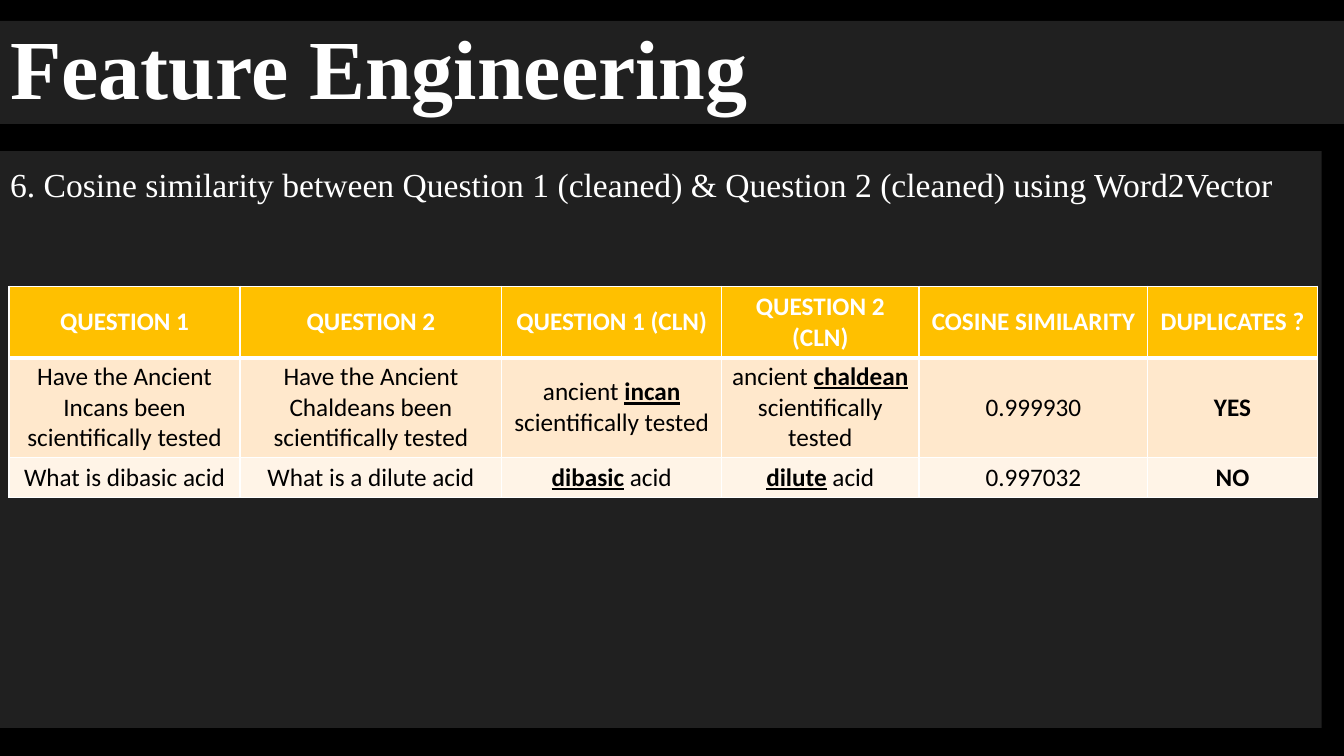
import pptx
import pptx.util
import pptx.dml.color
import pptx.enum.text
import pptx.oxml.ns
from lxml import etree

Pt = pptx.util.Pt
qn = pptx.oxml.ns.qn
Align = pptx.enum.text.PP_ALIGN
Anchor = pptx.enum.text.MSO_ANCHOR

WIDTHS = [165, 187, 157, 141, 163.5, 121]
HEIGHTS = [50, 70, 29]
FILLS = ["FFC000", "FFE8CC", "FFF4E7"]
ROWS = [
    ["QUESTION 1", "QUESTION 2", "QUESTION 1 (CLN)", "QUESTION 2 (CLN)",
     "COSINE SIMILARITY", "DUPLICATES ?"],
    ["Have the Ancient Incans been scientifically tested",
     "Have the Ancient Chaldeans been scientifically tested",
     "ancient _incan_ scientifically tested",
     "ancient _chaldean_ scientifically tested", "0.999930", "YES"],
    ["What is dibasic acid", "What is a dilute acid",
     "_dibasic_ acid", "_dilute_ acid", "0.997032", "NO"],
]


def color(code):
    return pptx.dml.color.RGBColor.from_string(code)


def paint(item, code):
    item.fill.solid()
    item.fill.fore_color.rgb = color(code)


def write(frame, text, font="Calibri", size=18, ink="FFFFFF", bold=False,
          align=Align.LEFT, line=1.0):
    """Fill a text frame; words between underscores are bold and underlined."""
    para = frame.paragraphs[0]
    para.alignment = align
    para.line_spacing = line
    para.space_before = Pt(0)
    for i, part in enumerate(text.split("_")):
        if not part:
            continue
        run = para.add_run()
        run.text = part
        run.font.name = font
        run.font.size = Pt(size)
        run.font.color.rgb = color(ink)
        run.font.bold = bold or i % 2 == 1
        run.font.underline = i % 2 == 1


def edge(cell, top, base):
    """Draw white cell borders, with top and base widths in points."""
    props = cell._tc.get_or_add_tcPr()
    sides = [("a:lnL", 1), ("a:lnR", 1), ("a:lnT", top), ("a:lnB", base)]
    for i, (tag, width) in enumerate(sides):
        line = etree.Element(qn(tag), w=str(Pt(width)))
        fill = etree.SubElement(line, qn("a:solidFill"))
        etree.SubElement(fill, qn("a:srgbClr"), val="FFFFFF")
        props.insert(i, line)


class Deck:
    def __init__(self, font, panel):
        self.font, self.panel = font, panel
        self.file = pptx.Presentation()
        self.file.slide_width, self.file.slide_height = Pt(960), Pt(540)
        self.slide = self.file.slides.add_slide(self.file.slide_layouts[1])
        paint(self.slide.background, "000000")

    def place(self, index, box, text, anchor, **style):
        """Move a placeholder onto a half-clear panel and set its text."""
        shape = self.slide.placeholders[index]
        shape.left, shape.top, shape.width, shape.height = map(Pt, box)
        paint(shape, self.panel)
        tint = shape.element.spPr.find(".//" + qn("a:srgbClr"))
        etree.SubElement(tint, qn("a:alpha"), val="50000")
        frame = shape.text_frame
        frame.word_wrap = True
        frame.auto_size = pptx.enum.text.MSO_AUTO_SIZE.NONE
        frame.vertical_anchor = anchor
        write(frame, text, font=self.font, **style)
        props = frame.paragraphs[0]._p.get_or_add_pPr()
        props.set("marL", "0")
        props.set("indent", "0")
        etree.SubElement(props, qn("a:buNone"))

    def table(self, left, top):
        grid = self.slide.shapes.add_table(
            len(ROWS), len(WIDTHS), Pt(left), Pt(top),
            Pt(sum(WIDTHS)), Pt(sum(HEIGHTS))).table
        for col, width in zip(grid.columns, WIDTHS):
            col.width = Pt(width)
        for r, texts in enumerate(ROWS):
            grid.rows[r].height = Pt(HEIGHTS[r])
            for c, text in enumerate(texts):
                self.cell(grid.cell(r, c), text, r, c == len(texts) - 1)

    def cell(self, cell, text, row, last):
        head = row == 0
        paint(cell, FILLS[row])
        edge(cell, 3 if row == 1 else 1, 3 if head else 1)
        cell.vertical_anchor = Anchor.MIDDLE
        cell.margin_left = cell.margin_right = Pt(7.2 if head else 5)
        cell.margin_top = cell.margin_bottom = Pt(3.6 if head else 2.5)
        write(cell.text_frame, text, ink="FFFFFF" if head else "000000",
              bold=head or last, align=Align.CENTER)


def main():
    deck = Deck("Times New Roman", "404040")
    deck.place(0, (0, 15, 960, 73.5), "Feature Engineering", Anchor.MIDDLE,
               size=60, bold=True, line=0.9)
    deck.place(1, (0, 108, 944, 412),
               "6. Cosine similarity between Question 1 (cleaned) & "
               "Question 2 (cleaned) using Word2Vector",
               Anchor.TOP, size=24, line=1.2)
    deck.table(6.5, 204.5)
    deck.file.save("out.pptx")


if __name__ == "__main__":
    main()
